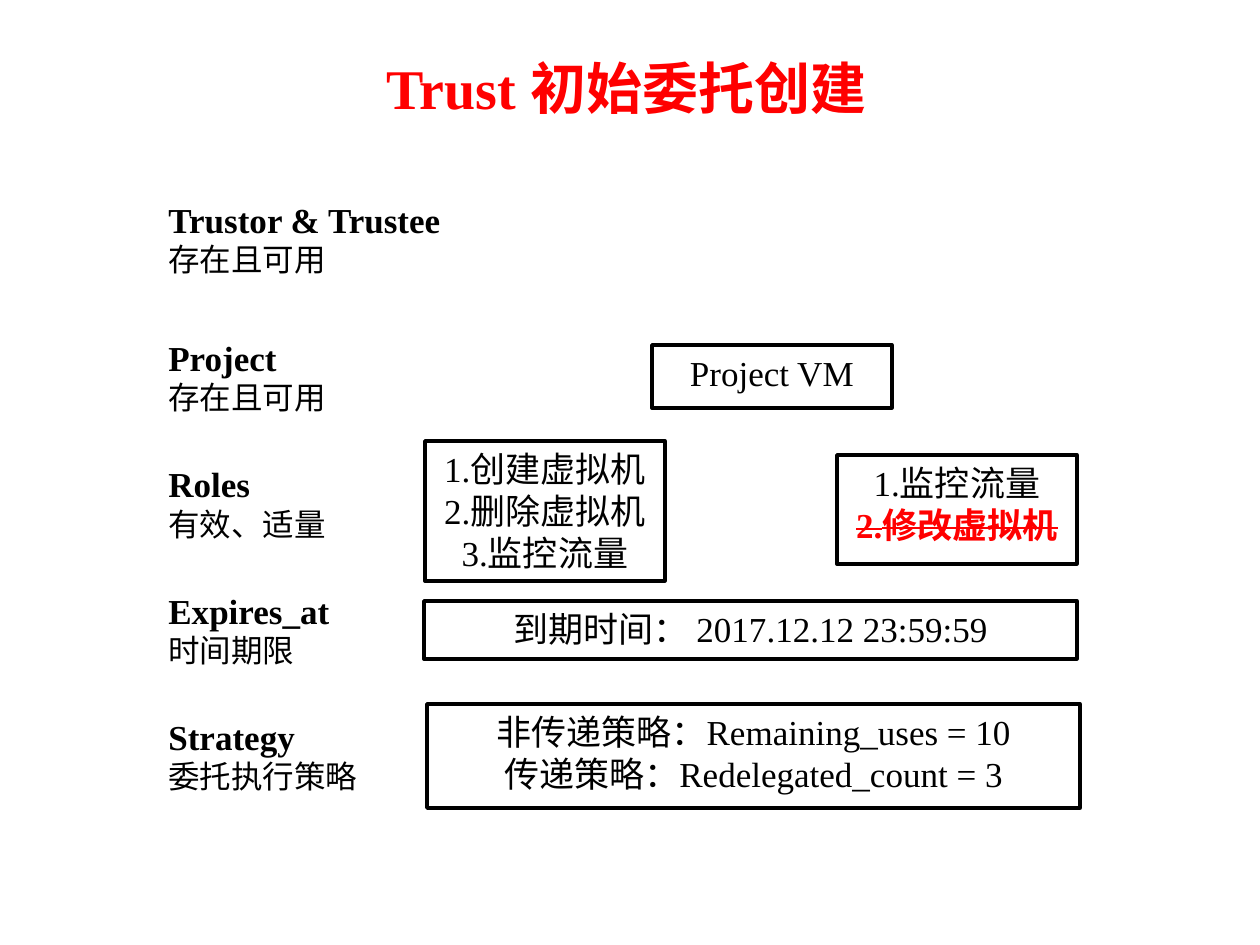
from pptx import Presentation
from pptx import util as u
from pptx.dml.color import RGBColor
from pptx.enum import shapes, text

FONT = "Times New Roman"
BLACK, WHITE, RED = "000000", "FFFFFF", "FF0000"
LEFT, WIDE, HIGH = 156, 328, 93  # label column


def px(n):
    return u.Emu(round(n * 914400 / 126))


def rect(*sides):
    return [px(n) for n in sides]


def tint(code):
    return RGBColor.from_string(code)


def style(font, size, color=BLACK, bold=False):
    font.name = FONT
    font.size = u.Pt(size)
    font.bold = bold
    font.color.rgb = tint(color)


def add_title(slide, words):
    title = slide.shapes.title
    title.left, title.top, title.width, title.height = rect(91, 26, 1071, 116)
    frame = title.text_frame
    frame.vertical_anchor = text.MSO_ANCHOR.MIDDLE
    frame.text = words
    para = frame.paragraphs[0]
    para.alignment = text.PP_ALIGN.CENTER
    para.line_spacing = 1.1
    style(para.font, 32, RED, True)


def add_label(slide, top, name, note, flow=False):
    """Bold name over a plain note; flow keeps both in one wrapped paragraph."""
    frame = slide.shapes.add_textbox(*rect(LEFT, top, WIDE, HIGH)).text_frame
    frame.word_wrap = True
    frame.auto_size = text.MSO_AUTO_SIZE.SHAPE_TO_FIT_TEXT
    head = frame.paragraphs[0]
    tail = head if flow else frame.add_paragraph()
    for para, words, size, bold in ((head, name, 20, True), (tail, note, 18, False)):
        run = para.add_run()
        run.text = words
        style(run.font, size, bold=bold)


def add_box(slide, place, lines):
    box = slide.shapes.add_shape(shapes.MSO_SHAPE.RECTANGLE, *rect(*place))
    box.shadow.inherit = False
    box.fill.solid()
    box.fill.fore_color.rgb = tint(WHITE)
    box.line.color.rgb = tint(BLACK)
    box.line.width = u.Pt(2)
    frame = box.text_frame
    frame.word_wrap = True
    frame.vertical_anchor = text.MSO_ANCHOR.TOP
    frame.text = "\n".join(lines)
    for para in frame.paragraphs:
        para.alignment = text.PP_ALIGN.CENTER
        style(para.font, 20)
    return box


def strike(para):
    style(para.font, 20, RED, True)
    for run in para.runs:
        style(run.font, 20, RED, True)
        run._r.get_or_add_rPr().set("strike", "sngStrike")


def main():
    deck = Presentation()
    deck.slide_width, deck.slide_height = rect(1260, 945)
    slide = deck.slides.add_slide(deck.slide_layouts[5])
    add_title(slide, "Trust 初始委托创建")

    # Trust fields, evenly spaced below the first
    add_label(slide, 192, "Trustor & Trustee ", "存在且可用", flow=True)
    fields = [
        ("Project", "存在且可用"),
        ("Roles", "有效、适量"),
        ("Expires_at", "时间期限"),
        ("Strategy", "委托执行策略"),
    ]
    for i, (name, note) in enumerate(fields):
        add_label(slide, 330 + 126.4 * i, name, note)

    # Field values
    add_box(slide, (425, 441, 240, 140),
            ["1.创建虚拟机", "2.删除虚拟机", "3.监控流量"])
    add_box(slide, (652, 345, 240, 63), ["Project VM"])
    roles = add_box(slide, (837, 455, 240, 109), ["1.监控流量", "2.修改虚拟机"])
    strike(roles.text_frame.paragraphs[1])
    add_box(slide, (424, 601, 653, 58), ["到期时间： 2017.12.12 23:59:59"])
    add_box(slide, (427, 704, 653, 104),
            ["非传递策略：Remaining_uses = 10", "传递策略：Redelegated_count = 3"])

    deck.save("out.pptx")


if __name__ == "__main__":
    main()
